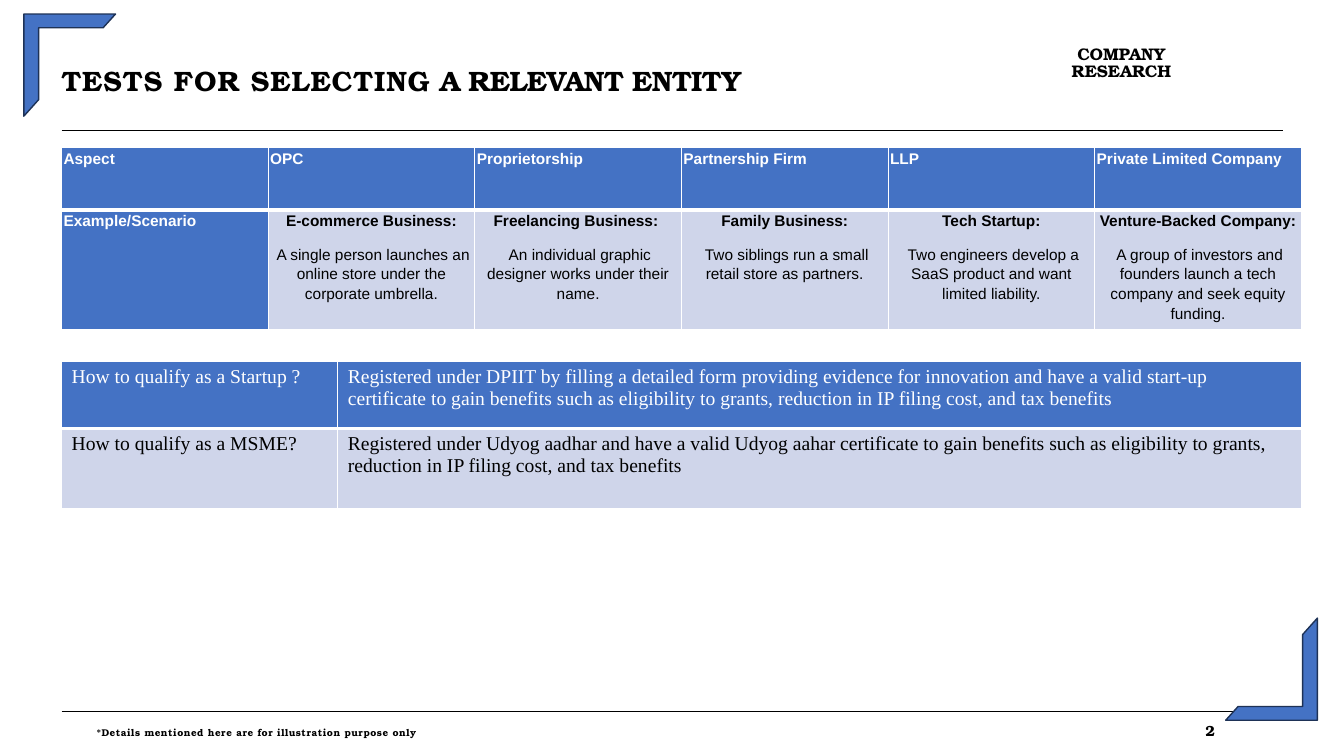
"""Build the slide on tests for selecting a relevant business entity."""
import pptx
import pptx.dml.color
import pptx.enum.shapes
import pptx.enum.text
import pptx.oxml
import pptx.oxml.ns
import pptx.util

Pt = pptx.util.Pt
RGBColor = pptx.dml.color.RGBColor
ALIGN = pptx.enum.text.PP_ALIGN
ANCHOR = pptx.enum.text.MSO_ANCHOR

BLACK = RGBColor(0x00, 0x00, 0x00)
WHITE = RGBColor(0xFF, 0xFF, 0xFF)
BLUE = RGBColor(0x44, 0x72, 0xC4)
NAVY = RGBColor(0x1E, 0x32, 0x56)
PALE = RGBColor(0xCF, 0xD5, 0xEA)

SERIF = "TeX Gyre Bonum"
SANS = "Arial"
ROMAN = "Times New Roman"

ENTITIES = [
    ("OPC", "E-commerce Business:",
     " A single person launches an online store under the corporate umbrella."),
    ("Proprietorship", "Freelancing Business: ",
     " An individual graphic designer works under their name."),
    ("Partnership Firm", "Family Business:",
     " Two siblings run a small retail store as partners."),
    ("LLP", "Tech Startup:",
     " Two engineers develop a SaaS product and want limited liability."),
    ("Private Limited Company", "Venture-Backed Company:",
     " A group of investors and founders launch a tech company and seek equity funding."),
]
QUALIFICATIONS = [
    ("How to qualify as a Startup ?",
     "Registered under DPIIT by filling a detailed form providing evidence for innovation "
     "and have a valid start-up certificate to gain benefits such as eligibility to grants, "
     "reduction in IP filing cost, and tax benefits"),
    ("How to qualify as a MSME?",
     "Registered under Udyog aadhar and have a valid Udyog aahar certificate to gain benefits "
     "such as eligibility to grants, reduction in IP filing cost, and tax benefits"),
]


def write(paragraph, text, *, size, font=SERIF, color=BLACK, bold=True, tracking=0,
          align=ALIGN.LEFT, leading=None, after=None):
    paragraph.alignment = align
    if leading:
        paragraph.line_spacing = leading
    if after:
        paragraph.space_after = Pt(after)
    run = paragraph.add_run()
    run.text = text
    run.font.size = Pt(size)
    run.font.name = font
    run.font.bold = bold
    run.font.color.rgb = color
    if tracking:
        run.font._element.set("spc", str(round(tracking * 100)))


class EntitySlide:
    def __init__(self, slide):
        self.slide = slide

    def prepare(self, frame, anchor):
        frame.margin_left = frame.margin_right = frame.margin_top = frame.margin_bottom = 0
        frame.word_wrap = True
        frame.auto_size = pptx.enum.text.MSO_AUTO_SIZE.NONE
        frame.vertical_anchor = anchor
        return frame.paragraphs[0]

    def title(self, left, top, width, height):
        heading = self.slide.shapes.title
        heading.left, heading.top = Pt(left), Pt(top)
        heading.width, heading.height = Pt(width), Pt(height)
        return self.prepare(heading.text_frame, ANCHOR.MIDDLE)

    def label(self, left, top, width, height, anchor=ANCHOR.MIDDLE):
        box = self.slide.shapes.add_textbox(Pt(left), Pt(top), Pt(width), Pt(height))
        return self.prepare(box.text_frame, anchor)

    def rule(self, left, right, y):
        line = self.slide.shapes.add_connector(
            pptx.enum.shapes.MSO_CONNECTOR.STRAIGHT, Pt(left), Pt(y), Pt(right), Pt(y))
        line.line.color.rgb = BLACK
        line.line.width = Pt(0.48)
        line._element.spPr.append(pptx.oxml.parse_xml(
            f'<a:effectLst {pptx.oxml.ns.nsdecls("a")}/>'))

    def corner(self, left, top, rotation=0):
        bracket = self.slide.shapes.add_shape(
            pptx.enum.shapes.MSO_SHAPE.HALF_FRAME, Pt(left), Pt(top), Pt(65.5), Pt(73))
        bracket.adjustments[0], bracket.adjustments[1] = 0.15, 0.161
        bracket.rotation = rotation
        bracket.shadow.inherit = False
        bracket.fill.solid()
        bracket.fill.fore_color.rgb = BLUE
        bracket.line.color.rgb = NAVY
        bracket.line.width = Pt(1)

    def table(self, left, top, widths, heights):
        frame = self.slide.shapes.add_table(
            len(heights), len(widths), Pt(left), Pt(top), Pt(sum(widths)), Pt(sum(heights)))
        for column, width in zip(frame.table.columns, widths):
            column.width = Pt(width)
        for row, height in zip(frame.table.rows, heights):
            row.height = Pt(height)
        return frame.table

    def cell(self, grid, row, column, fill, tight=False):
        cell = grid.cell(row, column)
        if tight:
            cell.margin_left = cell.margin_right = Pt(1.4)
            cell.margin_top = cell.margin_bottom = 0
        properties = cell._tc.get_or_add_tcPr()
        for side in "LRTB":
            thickness = 3 if (row, side) in ((0, "B"), (1, "T")) else 1
            properties.append(pptx.oxml.parse_xml(
                f'<a:ln{side} {pptx.oxml.ns.nsdecls("a")} w="{Pt(thickness)}">'
                f'<a:solidFill><a:srgbClr val="{WHITE}"/></a:solidFill></a:ln{side}>'))
        cell.fill.solid()
        cell.fill.fore_color.rgb = fill
        return cell.text_frame


def main():
    deck = pptx.Presentation()
    deck.slide_width, deck.slide_height = Pt(960), Pt(540)
    page = EntitySlide(deck.slides.add_slide(deck.slide_layouts[5]))

    heading = page.title(44, 45, 650, 25)
    write(heading, "TESTS FOR SELECTING", size=20, tracking=0.7)
    write(heading, " A RELEVANT ENTITY", size=20, tracking=-0.4)
    firm = page.label(763, 33, 76, 24, ANCHOR.TOP)
    write(firm, "COMPANY RESEARCH", size=12, align=ALIGN.CENTER, leading=0.87)

    for y in (93, 508):
        page.rule(44, 916.5, y)
    page.corner(17, 10)
    page.corner(875.5, 441.5, rotation=180)

    note = page.label(69, 515, 400, 16)
    write(note, "*Details mentioned here are for illustration purpose only", size=7, tracking=0.4)
    number = page.label(861, 514, 14, 16)
    write(number, "2", size=10.5, tracking=0.4)

    scenarios = page.table(44, 105.5, [147.6] * 6, [44.5, 85.5])
    body = dict(size=11, font=SANS, leading=1.15, after=10)
    for row, name in enumerate(("Aspect", "Example/Scenario")):
        frame = page.cell(scenarios, row, 0, BLUE, tight=True)
        write(frame.paragraphs[0], name, color=WHITE, **body)
    for column, (entity, business, example) in enumerate(ENTITIES, 1):
        frame = page.cell(scenarios, 0, column, BLUE, tight=True)
        write(frame.paragraphs[0], entity, color=WHITE, **body)
        frame = page.cell(scenarios, 1, column, PALE, tight=True)
        write(frame.paragraphs[0], business, align=ALIGN.CENTER, **body)
        write(frame.add_paragraph(), example, bold=False, align=ALIGN.CENTER, **body)

    criteria = page.table(44, 258, [197.3, 688.3], [48, 57])
    looks = ((BLUE, WHITE), (PALE, BLACK))
    for row, (texts, (fill, ink)) in enumerate(zip(QUALIFICATIONS, looks)):
        for column, text in enumerate(texts):
            frame = page.cell(criteria, row, column, fill)
            write(frame.paragraphs[0], text, size=14, font=ROMAN, color=ink, bold=False)

    deck.save("out.pptx")


if __name__ == "__main__":
    main()
